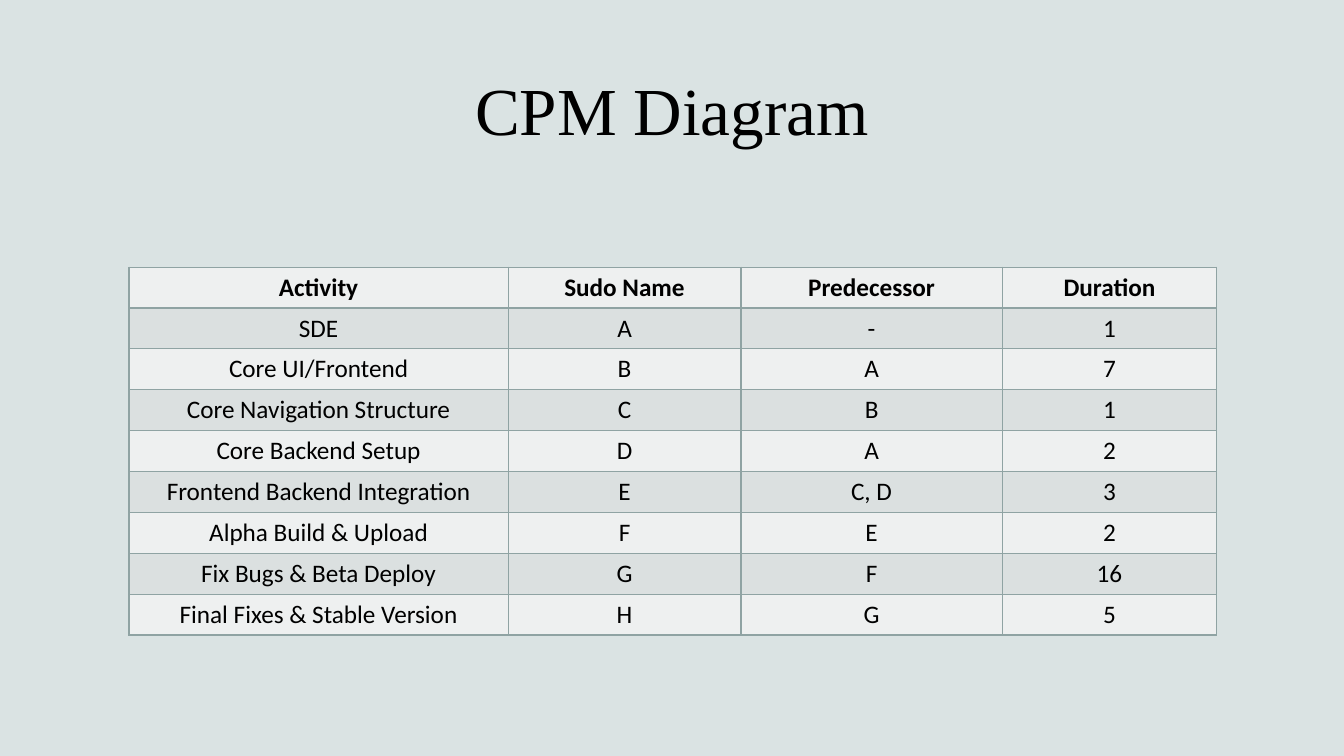
from lxml import etree
from pptx import Presentation
from pptx.dml.color import RGBColor
from pptx.enum.text import MSO_ANCHOR, PP_ALIGN
from pptx.oxml.ns import qn
from pptx.util import Inches, Pt

CENTER = PP_ALIGN.CENTER
BOTTOM = MSO_ANCHOR.BOTTOM

SLIDE_W, SLIDE_H = 13.33, 7.5
BACKGROUND, INK, RULE = "DAE3E3", "000000", "8FA3A3"
BANDS = ("EEF0F0", "DBE0E0")

COLUMN_WIDTHS = (3.76, 2.31, 2.59, 2.13)
TABLE_LEFT, TABLE_TOP, TABLE_HEIGHT = 1.28, 2.65, 3.65
ACTIVITIES = (
    ("Activity", "Sudo Name", "Predecessor", "Duration"),
    ("SDE", "A", "-", "1"),
    ("Core UI/Frontend", "B", "A", "7"),
    ("Core Navigation Structure", "C", "B", "1"),
    ("Core Backend Setup", "D", "A", "2"),
    ("Frontend Backend Integration", "E", "C, D", "3"),
    ("Alpha Build & Upload", "F", "E", "2"),
    ("Fix Bugs & Beta Deploy", "G", "F", "16"),
    ("Final Fixes & Stable Version", "H", "G", "5"),
)


def paint(fill, color):
    fill.solid()
    fill.fore_color.rgb = RGBColor.from_string(color)


def write(frame, text, size, font, bold=False):
    paragraph = frame.paragraphs[0]
    paragraph.alignment = CENTER
    run = paragraph.add_run()
    run.text = text
    run.font.size = Pt(size)
    run.font.name = font
    run.font.bold = bold
    paint(run.font.fill, INK)


def add_title(slide, text):
    width = 10.42
    title = slide.shapes.add_textbox(
        Inches((SLIDE_W - width) / 2), Inches(0.62), Inches(width), Inches(0.91))
    title.text_frame.word_wrap = True
    title.text_frame.vertical_anchor = BOTTOM
    write(title.text_frame, text, 48, "Times New Roman")


def add_borders(cell):
    # Borders come before the fill in the cell properties
    properties = cell._tc.get_or_add_tcPr()
    for index, side in enumerate(("a:lnL", "a:lnR", "a:lnT", "a:lnB")):
        line = etree.Element(qn(side), w=str(Pt(1)))
        solid = etree.SubElement(line, qn("a:solidFill"))
        etree.SubElement(solid, qn("a:srgbClr"), val=RULE)
        properties.insert(index, line)


def add_activity_table(slide, rows):
    table = slide.shapes.add_table(
        len(rows), len(COLUMN_WIDTHS), Inches(TABLE_LEFT), Inches(TABLE_TOP),
        Inches(sum(COLUMN_WIDTHS)), Inches(TABLE_HEIGHT)).table
    for column, width in zip(table.columns, COLUMN_WIDTHS):
        column.width = Inches(width)
    for row_index, values in enumerate(rows):
        table.rows[row_index].height = Inches(TABLE_HEIGHT / len(rows))
        for column_index, value in enumerate(values):
            cell = table.cell(row_index, column_index)
            paint(cell.fill, BANDS[row_index % 2])
            add_borders(cell)
            write(cell.text_frame, value, 18, "Calibri", bold=row_index == 0)


def main():
    deck = Presentation()
    deck.slide_width, deck.slide_height = Inches(SLIDE_W), Inches(SLIDE_H)
    slide = deck.slides.add_slide(deck.slide_layouts[6])
    paint(slide.background.fill, BACKGROUND)
    add_title(slide, "CPM Diagram")
    add_activity_table(slide, ACTIVITIES)
    deck.save("out.pptx")


if __name__ == "__main__":
    main()
